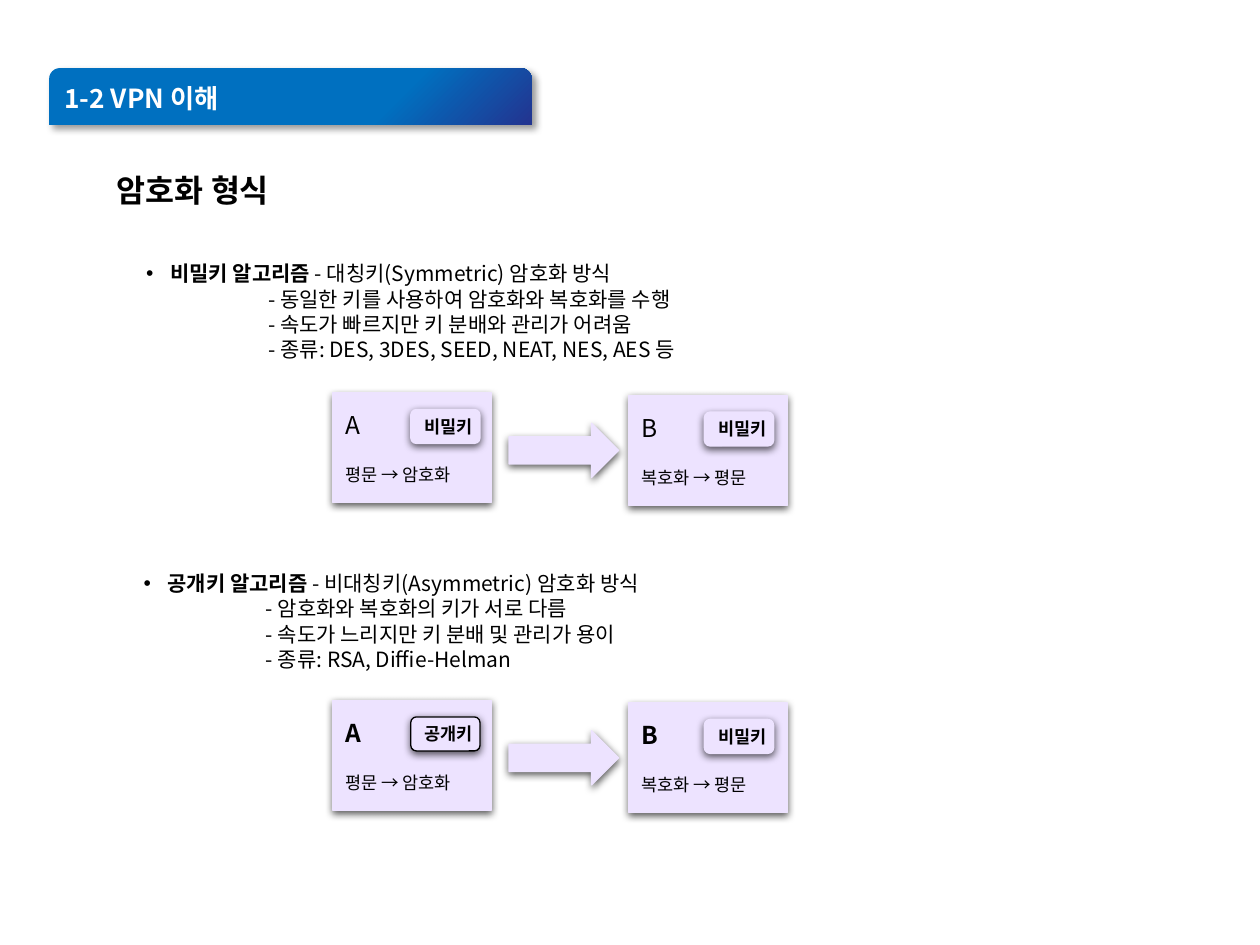
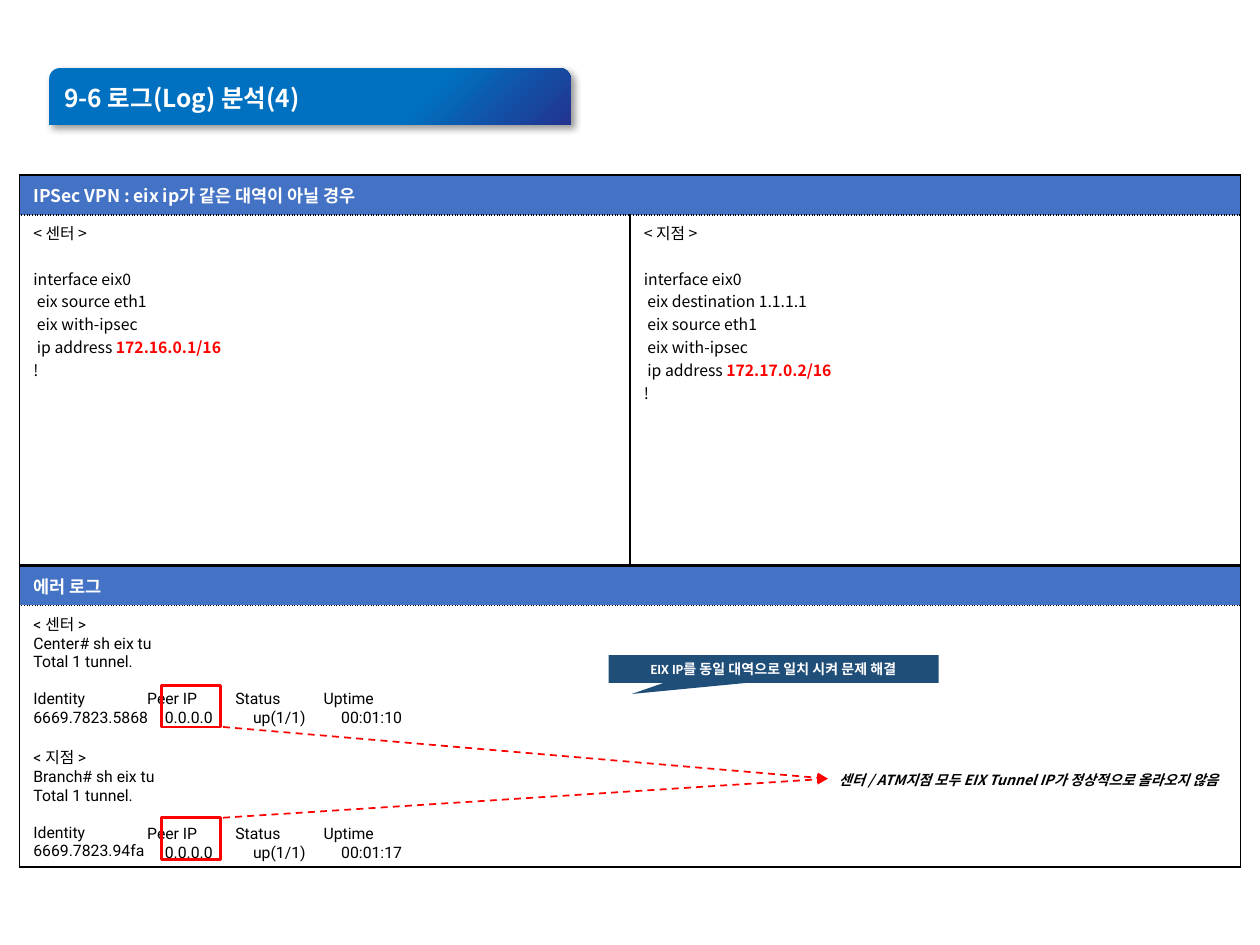
from lxml.etree import SubElement
from pptx import Presentation
from pptx.dml.color import RGBColor
from pptx.enum.dml import MSO_LINE_DASH_STYLE as Dash
from pptx.enum.shapes import MSO_CONNECTOR as Connector, MSO_SHAPE as Shape
from pptx.enum.text import MSO_ANCHOR as Anchor, MSO_AUTO_SIZE as AutoSize, PP_ALIGN as Align
from pptx.oxml import parse_xml
from pptx.oxml.ns import nsdecls, qn
from pptx.util import Emu, Inches, Pt

COLUMNS, ROWS = 100, 75
SLIDE_WIDTH, SLIDE_HEIGHT = Inches(10), Inches(7.5)
KOREAN, LOG_FONT = "Noto Sans CJK KR", "Roboto"
BLACK, WHITE, RED = "000000", "FFFFFF", "FF0000"
LILAC, HEADER_BLUE, CALLOUT_BLUE = "EDE3FF", "4472C4", "1F4E79"
BANNER_STOPS = ((0.7, "0070C0"), (1.0, "233490"))
BANNER_SHADOW = dict(alpha=40, blur=4, distance=3, angle=45)
CARD_SHADOW = dict(alpha=63, blur=4.5, distance=1.5, angle=90)
TITLE_ONLY, TWO_CONTENT = 5, 3


def color(hex_value):
    return RGBColor.from_string(hex_value)


def across(columns):
    return Emu(round(SLIDE_WIDTH * columns / COLUMNS))


def down(rows):
    return Emu(round(SLIDE_HEIGHT * rows / ROWS))


def area(left, top, width, height):
    return across(left), down(top), across(width), down(height)


def move(placeholder, place):
    for side, value in zip(("left", "top", "width", "height"), area(*place)):
        setattr(placeholder, side, value)


def line(*runs, **look):
    """A paragraph: runs are strings or (string, look) pairs."""
    return [run if isinstance(run, tuple) else (run, {}) for run in runs], look


def format_paragraph(paragraph, look):
    properties = paragraph._p.get_or_add_pPr()
    properties.set("marL", str(Inches(look.get("margin", 0))))
    properties.set("indent", str(Inches(look.get("indent", 0))))
    if "bullet" in look:
        SubElement(properties, qn("a:buChar"), char=look["bullet"])
    else:
        SubElement(properties, qn("a:buNone"))
    values = dict(alignment=look.get("align", Align.LEFT), space_before=Pt(look.get("gap", 0)),
                  line_spacing=look.get("spacing", 1.0))
    for name, value in values.items():
        setattr(paragraph, name, value)


def format_run(run, look):
    values = dict(name=look.get("font", KOREAN), size=Pt(look["size"]),
                  bold=look.get("bold", False), italic=look.get("italic", False))
    for name, value in values.items():
        setattr(run.font, name, value)
    run.font.color.rgb = color(look.get("ink", BLACK))
    SubElement(run._r.get_or_add_rPr(), qn("a:ea"), typeface=KOREAN)


def write(frame, lines, **shared):
    for number, (runs, own) in enumerate(lines):
        paragraph = frame.add_paragraph() if number else frame.paragraphs[0]
        look = {**shared, **own}
        format_paragraph(paragraph, look)
        for text, run_look in runs:
            run = paragraph.add_run()
            run.text = text
            format_run(run, {**look, **run_look})


def cast_shadow(shape, alpha, blur, distance, angle):
    effects = shape._element.spPr.find(qn("a:effectLst"))
    outer = SubElement(effects, qn("a:outerShdw"), blurRad=str(Pt(blur)), dist=str(Pt(distance)),
                       dir=str(angle * 60000), algn="tl", rotWithShape="0")
    tint = SubElement(outer, qn("a:srgbClr"), val=BLACK)
    SubElement(tint, qn("a:alpha"), val=str(alpha * 1000))


def add_banner(slide, text, width, size):
    """A gradient band with the slide's title on it."""
    place = (3.9, 5.4, width, 4.5)
    title = slide.shapes.title
    band = add_block(slide.shapes, Shape.ROUND_2_SAME_RECTANGLE, place)
    band.adjustments[0], band.adjustments[1] = 0.19, 0
    band.fill.gradient()
    band.fill.gradient_angle = 315
    for stop, (position, hex_value) in zip(band.fill.gradient_stops, BANNER_STOPS):
        stop.position = position
        stop.color.rgb = color(hex_value)
    cast_shadow(band, **BANNER_SHADOW)
    title._element.addprevious(band._element)
    move(title, place)
    frame = title.text_frame
    values = dict(auto_size=AutoSize.NONE, vertical_anchor=Anchor.MIDDLE, margin_left=Inches(0.12),
                  margin_right=Inches(0.12), margin_top=Inches(0.04), margin_bottom=Inches(0.02))
    for name, value in values.items():
        setattr(frame, name, value)
    write(frame, [line(text)], size=size, bold=True, ink=WHITE)


def add_text(slide, place, lines, wrap=True, **look):
    frame = slide.shapes.add_textbox(*area(*place)).text_frame
    frame.word_wrap = wrap
    write(frame, lines, **look)


def add_block(shapes, kind, place, fill=None, outline=None, weight=0.75):
    block = shapes.add_shape(kind, *area(*place))
    block.shadow.inherit = False
    if fill:
        block.fill.solid()
        block.fill.fore_color.rgb = color(fill)
    else:
        block.fill.background()
    if outline:
        block.line.color.rgb = color(outline)
        block.line.width = Pt(weight)
    else:
        block.line.fill.background()
    return block


def fill_algorithm_list(placeholder, place, name, kind, features):
    move(placeholder, place)
    frame = placeholder.text_frame
    frame.auto_size = AutoSize.NONE
    first = line((name, dict(bold=True)), " - " + kind, margin=0.19, indent=-0.19, bullet="•")
    rest = [line("- " + feature, margin=0.97) for feature in features]
    write(frame, [first, *rest], size=12, spacing=Pt(14.4))


def add_lilac(shapes, kind, place, lines=(), outline=LILAC):
    block = add_block(shapes, kind, place, LILAC, outline)
    cast_shadow(block, **CARD_SHADOW)
    if lines:
        block.text_frame.word_wrap = False
        block.text_frame.vertical_anchor = Anchor.MIDDLE
        write(block.text_frame, lines)


def add_exchange(slide, top, sender_key, key_outline, bold):
    """Party A sends to party B; each holds a key."""
    shapes = slide.shapes.add_group_shape().shapes
    parties = ((26.4, top, 6.2, "A", "평문 → 암호화", sender_key, key_outline),
               (49.9, top + 0.2, 6, "B", "복호화 → 평문", "비밀키", LILAC))
    for left, card_top, key_shift, party, step, key, outline in parties:
        add_lilac(shapes, Shape.RECTANGLE, (left, card_top, 12.6, 8.7), [
            line(party, size=14, bold=bold, spacing=Pt(16.8)),
            line(step, size=10, gap=14, spacing=Pt(12))])
        add_lilac(shapes, Shape.FLOWCHART_ALTERNATE_PROCESS,
                  (left + key_shift, card_top + 1.3, 5.5, 2.7),
                  [line(key, size=10, bold=True, spacing=Pt(12))], outline)
    add_lilac(shapes, Shape.RIGHT_ARROW, (40.4, top + 2.4, 8.7, 4.3))


def set_borders(cell, dotted_side):
    properties = cell._tc.get_or_add_tcPr()
    for position, side in enumerate(("lnL", "lnR", "lnT", "lnB")):
        dash = "sysDot" if side == dotted_side else "solid"
        properties.insert(position, parse_xml(
            f'<a:{side} {nsdecls("a")} w="{Pt(1)}"><a:solidFill><a:srgbClr val="{BLACK}"/>'
            f'</a:solidFill><a:prstDash val="{dash}"/></a:{side}>'))


def add_panel(slide, top, body_rows, heading, columns, **look):
    """A blue heading row over one cell for each column of text."""
    left, width, heading_rows = 1.55, 96.9, 3.15
    table = slide.shapes.add_table(
        2, len(columns), *area(left, top, width, heading_rows + body_rows)).table
    table.first_row = table.horz_banding = False
    for row, height in zip(table.rows, (heading_rows, body_rows)):
        row.height = down(height)
    for column in table.columns:
        column.width = across(width / len(columns))
    for cell in table.iter_cells():
        cell.margin_left = cell.margin_right = Inches(0.11)
    for cell in table.rows[0].cells:
        cell.fill.solid()
        cell.fill.fore_color.rgb = color(HEADER_BLUE)
        cell.vertical_anchor = Anchor.MIDDLE
        set_borders(cell, "lnB")
    for cell, lines in zip(table.rows[1].cells, columns):
        cell.fill.background()
        set_borders(cell, "lnT")
        write(cell.text_frame, lines, size=9, **look)
    if len(columns) > 1:
        table.cell(0, 0).merge(table.cell(0, len(columns) - 1))
    write(table.cell(0, 0).text_frame, [line(heading)], size=10, bold=True, ink=WHITE)


def config_lines(site, settings, address):
    return [line(f"< {site} >"), line("interface eix0", gap=13),
            *[line(" " + setting) for setting in settings],
            line(" ip address ", (address, dict(ink=RED, bold=True))), line("!")]


def log_lines(site, host, identity, gap):
    return [line(f"< {site} >", gap=gap), line(f"{host}# sh eix tu"), line("Total 1 tunnel."),
            line("Identity", gap=10.5), line(identity)]


def add_tunnel_columns(slide, top, uptime):
    """The log's remaining columns, level with its identity lines."""
    columns = (("Peer IP", "0.0.0.0"), ("Status", "up(1/1)"), ("Uptime", uptime))
    for number, (heading, value) in enumerate(columns):
        add_text(slide, (10.7 + 7 * number, top, 9, 3.9),
                 [line(heading), line(value, margin=0.14)], wrap=False, size=9, font=LOG_FONT)


def add_dashed_arrow(slide, start, end):
    arrow = slide.shapes.add_connector(Connector.STRAIGHT, across(start[0]), down(start[1]),
                                       across(end[0]), down(end[1]))
    arrow.line.color.rgb = color(RED)
    arrow.line.width = Pt(1)
    arrow.line.dash_style = Dash.DASH
    properties = arrow._element.spPr
    SubElement(properties.find(qn("a:ln")), qn("a:tailEnd"), type="triangle")
    SubElement(properties, qn("a:effectLst"))


def build_encryption(slide):
    add_banner(slide, "1-2 VPN 이해", 38.3, 15)
    add_text(slide, (8.3, 13.1, 16.4, 4), [line("암호화 형식")], wrap=False,
             size=18, bold=True, spacing=Pt(21.6))
    fill_algorithm_list(
        slide.placeholders[1], (10.6, 20.2, 76.4, 9.1),
        "비밀키 알고리즘", "대칭키(Symmetric) 암호화 방식",
        ("동일한 키를 사용하여 암호화와 복호화를 수행", "속도가 빠르지만 키 분배와 관리가 어려움",
         "종류: DES, 3DES, SEED, NEAT, NES, AES 등"))
    fill_algorithm_list(
        slide.placeholders[2], (10.4, 44.8, 76.4, 9.1),
        "공개키 알고리즘", "비대칭키(Asymmetric) 암호화 방식",
        ("암호화와 복호화의 키가 서로 다름", "속도가 느리지만 키 분배 및 관리가 용이",
         "종류: RSA, Diffie-Helman"))
    add_exchange(slide, 31.2, "비밀키", LILAC, bold=False)
    add_exchange(slide, 55.6, "공개키", BLACK, bold=True)


def build_log_analysis(slide):
    add_banner(slide, "9-6 로그(Log) 분석(4)", 41.4, 14)
    add_panel(slide, 13.9, 27.8, "IPSec VPN : eix ip가 같은 대역이 아닐 경우", [
        config_lines("센터", ("eix source eth1", "eix with-ipsec"), "172.16.0.1/16"),
        config_lines("지점", ("eix destination 1.1.1.1", "eix source eth1", "eix with-ipsec"),
                     "172.17.0.2/16")])
    add_panel(slide, 44.9, 20.75, "에러 로그", [
        log_lines("센터", "Center", "6669.7823.5868", gap=0)
        + log_lines("지점", "Branch", "6669.7823.94fa", gap=10.5)], font=LOG_FONT)
    add_text(slide, (65.6, 60.6, 32.8, 3.8),
             [line("센터 / ATM지점 모두 EIX Tunnel IP가 정상적으로 올라오지 않음")],
             size=8, bold=True, italic=True, margin=0.38, indent=-0.38, spacing=1.1)
    sites = ((54.2, "00:01:10", 54.4, 57.7), (64.85, "00:01:17", 64.9, 64.9))
    for columns_top, uptime, peer_top, arrow_top in sites:
        add_tunnel_columns(slide, columns_top, uptime)
        add_dashed_arrow(slide, (17.7, arrow_top), (65.7, 61.8))
        add_block(slide.shapes, Shape.RECTANGLE, (12.8, peer_top, 4.7, 3.3),
                  outline=RED, weight=1.5)
    solution = add_block(slide.shapes, Shape.RECTANGULAR_CALLOUT, (48.3, 52, 26.2, 2.2),
                         CALLOUT_BLUE)
    solution.adjustments[0], solution.adjustments[1] = -0.43, 0.9
    solution.text_frame.word_wrap = True
    solution.text_frame.vertical_anchor = Anchor.MIDDLE
    write(solution.text_frame, [line("EIX IP를 동일 대역으로 일치 시켜 문제 해결")],
          size=8, bold=True, ink=WHITE, font="Calibri", align=Align.CENTER)


def main():
    deck = Presentation()
    deck.slide_width, deck.slide_height = SLIDE_WIDTH, SLIDE_HEIGHT
    for layout, build in ((TWO_CONTENT, build_encryption), (TITLE_ONLY, build_log_analysis)):
        build(deck.slides.add_slide(deck.slide_layouts[layout]))
    deck.save("out.pptx")


if __name__ == "__main__":
    main()
